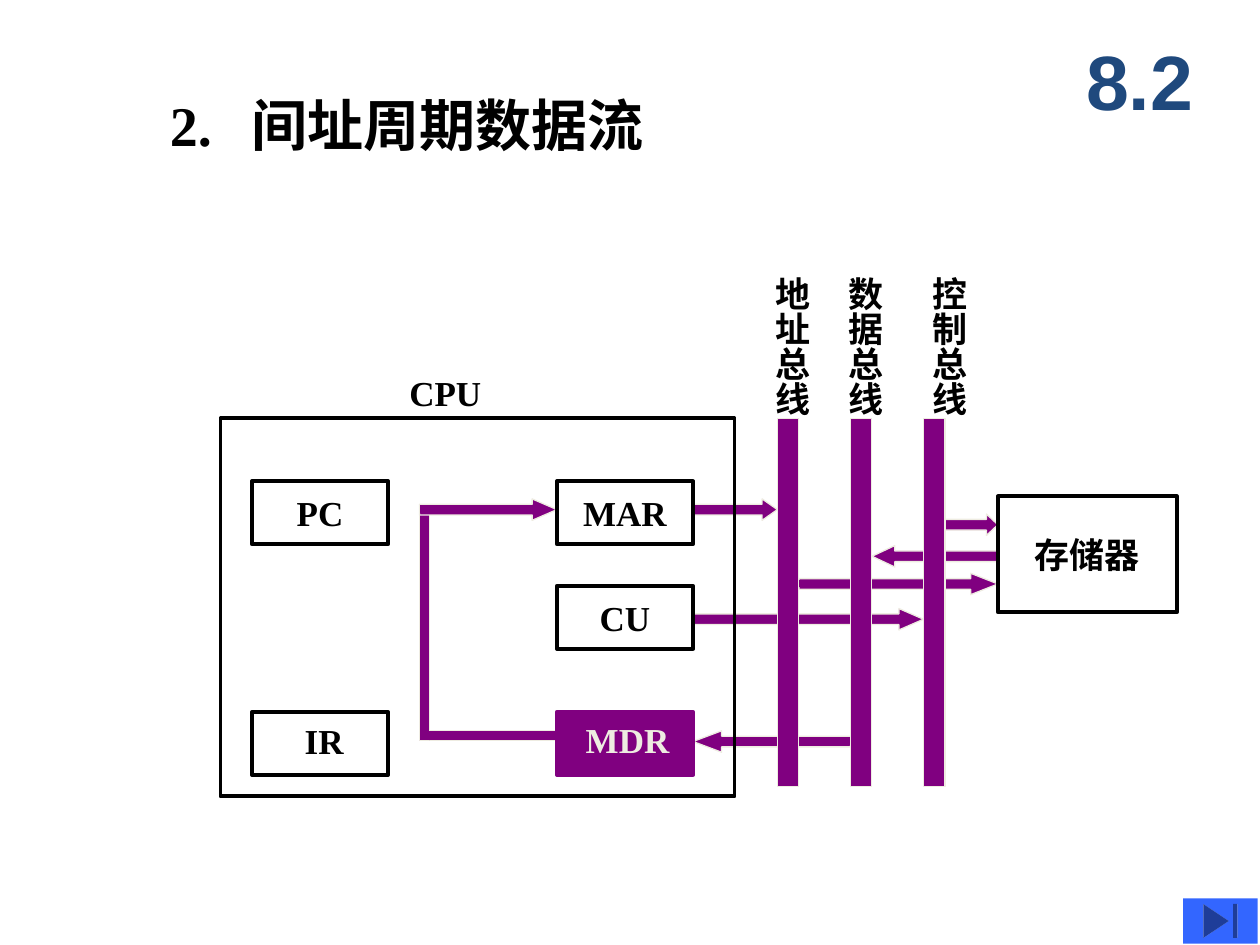
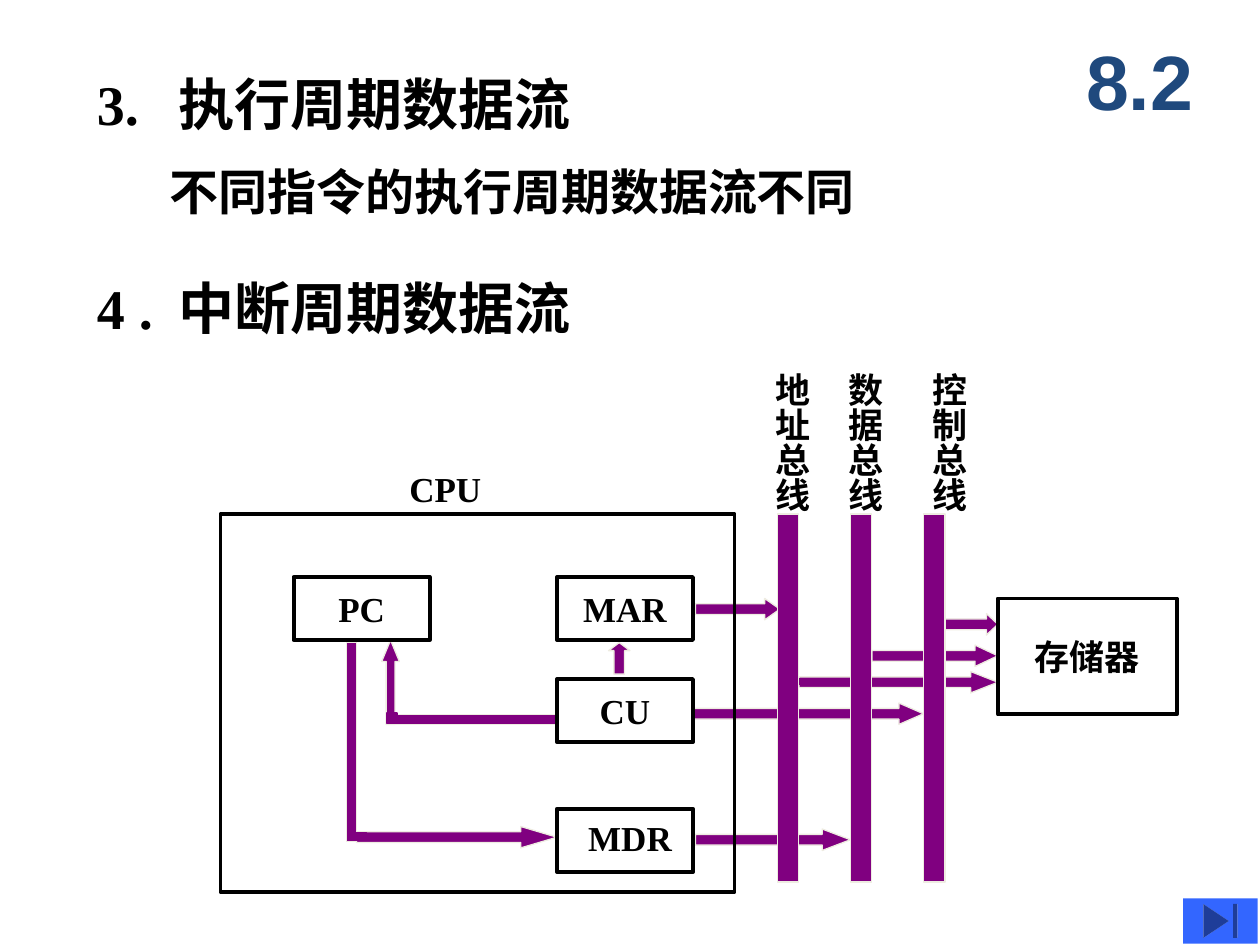
"""Builds two slides on CPU data flow in the indirect, execute and interrupt cycles."""
from pptx import Presentation
from pptx.dml.color import RGBColor
from pptx.enum.shapes import MSO_SHAPE
from pptx.enum.text import MSO_ANCHOR, PP_ALIGN
from pptx.util import Inches, Pt

PURPLE, CREAM, BLACK, NAVY, BLUE = "800080", "EEECE1", "000000", "1F497D", "3366FF"
SERIF, SANS = "Times New Roman", "Arial"
WIDTH, HEIGHT = 10, 7.5
THICK, THIN = 0.17, 0.08
REGISTER_WIDTH, REGISTER_HEIGHT = 1.08, 0.5
CPU_LEFT, CPU_WIDTH, CPU_HEIGHT = 1.75, 4.08, 3
REGISTER = 4.42
OUT = REGISTER + REGISTER_WIDTH
ADDRESS, DATA, CONTROL = (6.17 + 0.58 * step for step in range(3))
MEMORY = 7.92
BUS_LENGTH, BUS_LABEL_HEIGHT = 2.92, 1.22
BUSES = [("地址总线", ADDRESS, 5.97), ("数据总线", DATA, 6.55), ("控制总线", CONTROL, 7.22)]

# Rows are measured down from the top of the CPU frame.
SLIDES = [
    {
        "top": 3.32,
        "titles": [("2.\t间址周期数据流", 1.25, 0.67, 6.25, 0.63, 32)],
        "bars": [(3.33, 2.48, 1.08, THIN), (3.33, 0.73, THIN, 1.83)],
        "arrows": [
            (DATA + THICK, MEMORY, 1.01, 1.067, "left"),
            (OUT, CONTROL, 1.51, 1.146, "right"),
            (OUT, ADDRESS, 0.64, 0.711, "right"),
            (ADDRESS + THICK, MEMORY, 1.23, 1.271, "right"),
            (OUT, DATA, 2.48, 1.333, "left"),
            (3.33, REGISTER, 0.64, 1.156, "right"),
            (7.42, MEMORY, 0.76, 0.533, "right"),
        ],
        "up_arrows": [],
        "joints": [(6.31, 1.27, 0.05, 0.08, 90), (6.74, 2.52, 0.05, 0.08, 90),
                   (3.36, 2.49, 0.06, 0.06, 90), (3.34, 0.69, 0.14, 0.06, 0)],
        "registers": [("CU", REGISTER, 1.33), ("MAR", REGISTER, 0.5), ("PC", 2, 0.5)],
        "labelled": [("IR", 2, 2.33, 0.32, 0.51, None),
                     ("MDR", REGISTER, 2.33, 0.13, 0.88, PURPLE)],
        "memory": 0.62,
    },
    {
        "top": 4.08,
        "titles": [("3.\t执行周期数据流", 0.67, 0.5, 6.25, 0.63, 32),
                   ("4 .\t中断周期数据流", 0.67, 2.12, 6.25, 0.63, 32),
                   ("不同指令的执行周期数据流不同", 1.25, 1.23, 5.83, 0.57, 28)],
        "bars": [(2.75, 1.02, THIN, 1.58), (3.11, 1.59, 1.3, THIN)],
        "arrows": [
            (5.52, 6.19, 0.67, 0.711, "right"),
            (2.83, REGISTER, 2.48, 1.689, "right"),
            (5.52, DATA, 2.5, 1.315, "right"),
            (DATA + THICK, MEMORY, 1.04, 1.067, "right"),
            (OUT, CONTROL, 1.5, 1.146, "right"),
            (ADDRESS + THICK, MEMORY, 1.25, 1.271, "right"),
            (7.42, MEMORY, 0.79, 0.533, "right"),
        ],
        "up_arrows": [(3.03, 1, 0.14, 0.67, 1.215), (4.83, 1.02, THICK, 0.25, 0.375)],
        "joints": [(2.83, 2.51, 0.06, 0.1, 90), (6.31, 1.29, 0.05, 0.08, 90),
                   (3.07, 1.58, 0.08, 0.08, 90)],
        "registers": [("CU", REGISTER, 1.31), ("MAR", REGISTER, 0.5), ("PC", 2.33, 0.5)],
        "labelled": [("MDR", REGISTER, 2.34, 0.15, 0.87, None)],
        "memory": 0.67,
    },
]


def color(value):
    return RGBColor.from_string(value)


def write(shape, text, size=20, ink=BLACK, font=SERIF, centred=False, wrap=False):
    frame = shape.text_frame
    frame.word_wrap = wrap
    frame.vertical_anchor = MSO_ANCHOR.MIDDLE if centred else MSO_ANCHOR.TOP
    para = frame.paragraphs[0]
    para.text = text
    para.alignment = PP_ALIGN.CENTER if centred else PP_ALIGN.LEFT
    para.font.size, para.font.name, para.font.bold = Pt(size), font, True
    para.font.color.rgb = color(ink)
    return shape


def add_text(page, text, left, top, width, height, **style):
    box = page.shapes.add_textbox(*map(Inches, (left, top, width, height)))
    return write(box, text, **style)


def add_shape(page, left, top, width, height, kind=MSO_SHAPE.RECTANGLE,
              fill=PURPLE, line=CREAM, weight=0.75, head=None, turn=0):
    shape = page.shapes.add_shape(kind, *map(Inches, (left, top, width, height)))
    shape.shadow.inherit = False
    shape.rotation = turn
    if head:
        shape.adjustments[0], shape.adjustments[1] = 0.5, head
    if fill:
        shape.fill.solid()
        shape.fill.fore_color.rgb = color(fill)
    else:
        shape.fill.background()
    if line:
        shape.line.color.rgb = color(line)
        shape.line.width = Pt(weight)
    else:
        shape.line.fill.background()
    return shape


def add_frame(page, left, top, width, height, fill=None):
    return add_shape(page, left, top, width, height, fill=fill, line=fill or BLACK, weight=2.25)


def add_title(page, text, left, top, width, height, size):
    box = add_text(page, text, left, top, width, height, size=size, wrap=True)
    if "\t" in text:
        properties = box.text_frame.paragraphs[0]._p.get_or_add_pPr()
        properties.set("marL", str(Inches(0.65)))
        properties.set("indent", str(-Inches(0.65)))


def add_flows(page, content):
    top = content["top"]
    for left, row, width, height in content["bars"]:
        add_shape(page, left, top + row, width, height)
    for start, end, row, head, direction in content["arrows"]:
        add_shape(page, start, top + row, end - start, THICK, MSO_SHAPE.RIGHT_ARROW,
                  head=head, turn=180 if direction == "left" else 0)
    for left, row, width, height, head in content["up_arrows"]:
        add_shape(page, left, top + row, width, height, MSO_SHAPE.UP_ARROW, head=head)
    for left, row, width, height, turn in content["joints"]:
        add_shape(page, left, top + row, width, height, line=PURPLE, turn=turn)


def add_machine(page, content):
    top = content["top"]
    for name, left, label_left in BUSES:
        add_shape(page, left, top, THICK, BUS_LENGTH)
        label = add_text(page, name, label_left, top - BUS_LABEL_HEIGHT, 0.53, BUS_LABEL_HEIGHT)
        label.text_frame._txBody.bodyPr.set("vert", "eaVert")
    add_frame(page, CPU_LEFT, top, CPU_WIDTH, CPU_HEIGHT)
    add_text(page, "CPU", 3.15, top - 0.42, 0.77, 0.43)
    for name, left, row in content["registers"]:
        write(add_frame(page, left, top + row, REGISTER_WIDTH, REGISTER_HEIGHT), name, centred=True)
    for name, left, row, inset, width, fill in content["labelled"]:
        add_frame(page, left, top + row, REGISTER_WIDTH, REGISTER_HEIGHT, fill)
        place = (left + inset, top + row + (0 if fill else 0.01), width, 0.43)
        if fill:
            write(add_shape(page, *place, fill=fill, line=fill), name, ink=CREAM)
        else:
            add_text(page, name, *place)
    memory = add_frame(page, MEMORY, top + content["memory"], 1.42, 0.92)
    write(memory, "存储器", centred=True)


def add_shared(page):
    add_text(page, "8.2", 8.42, 0.17, 1.25, 0.92, size=44, ink=NAVY, font=SANS,
             centred=True, wrap=True)
    add_shape(page, 9.39, 7.13, 0.59, 0.36, MSO_SHAPE.ACTION_BUTTON_END, fill=BLUE, line=None)


deck = Presentation()
deck.slide_width, deck.slide_height = Inches(WIDTH), Inches(HEIGHT)
for content in SLIDES:
    page = deck.slides.add_slide(deck.slide_layouts[6])
    for title in content["titles"]:
        add_title(page, *title)
    add_flows(page, content)
    add_machine(page, content)
    add_shared(page)
deck.save("out.pptx")
